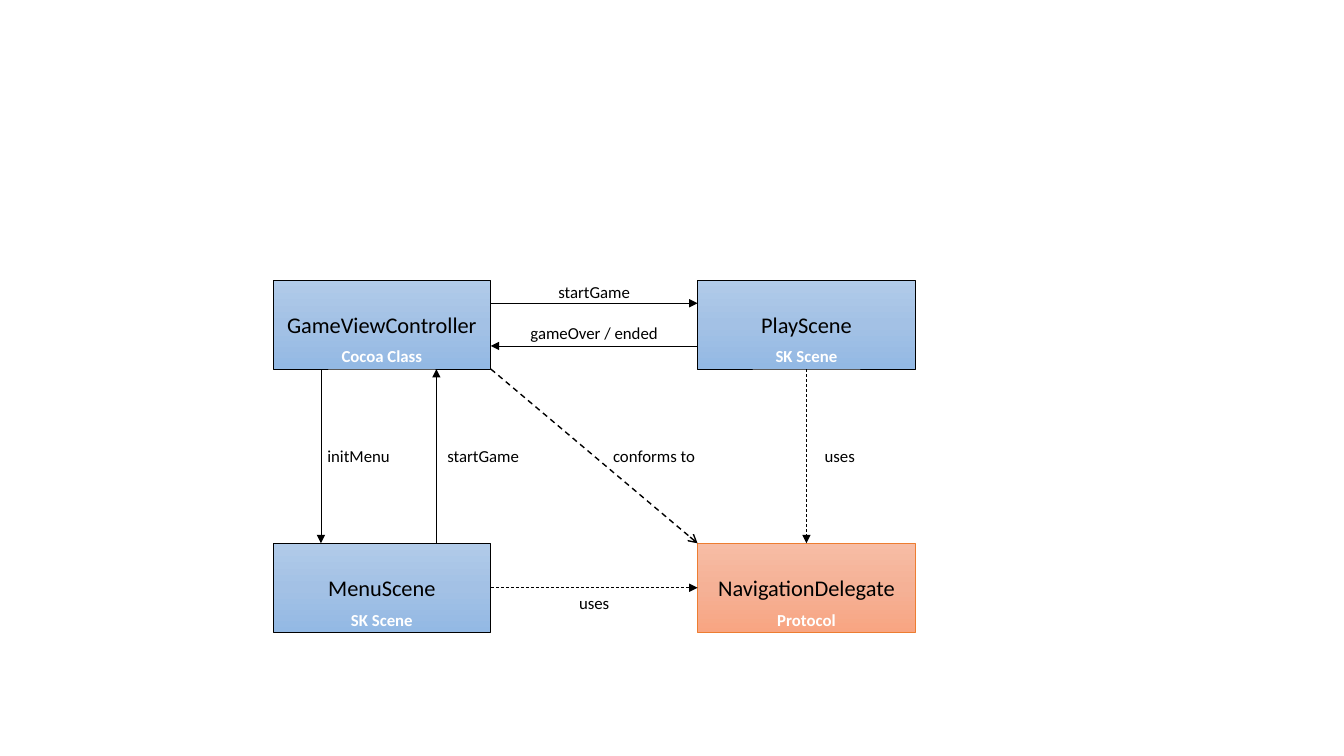
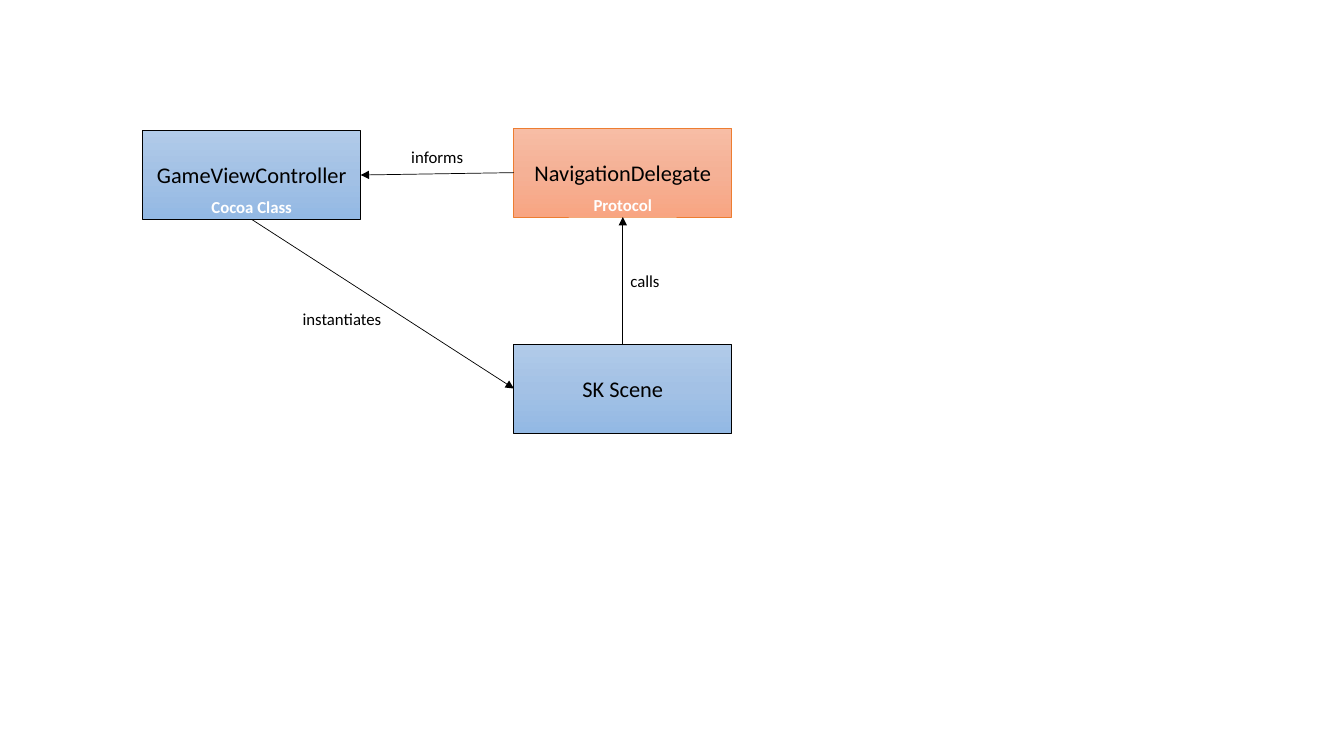
from copy import deepcopy
from dataclasses import dataclass

from lxml import etree
from pptx import Presentation
from pptx.dml.color import RGBColor
from pptx.enum.dml import MSO_LINE
from pptx.enum.shapes import MSO_CONNECTOR, MSO_SHAPE
from pptx.enum.text import MSO_ANCHOR, PP_ALIGN
from pptx.oxml.ns import qn
from pptx.util import Cm, Pt

RECTANGLE, STRAIGHT = MSO_SHAPE.RECTANGLE, MSO_CONNECTOR.STRAIGHT
DASH, MIDDLE, CENTER = MSO_LINE.DASH, MSO_ANCHOR.MIDDLE, PP_ALIGN.CENTER


@dataclass(frozen=True)
class Theme:
    font: str = "Calibri"
    name_size: float = 16
    label_size: float = 12
    ink: str = "000000"
    tag: str = "FFFFFF"
    thin: float = 0.5
    # (gradient from top to bottom, outline)
    blue: tuple = (("B1CBE9", "A3C1E5", "93B9E4"), "000000")
    orange: tuple = (("F7BDA5", "F5B196", "F8A582"), "ED7D31")


THEME = Theme()

# Lengths in cm
SLIDE_W, SLIDE_H = 33.87, 19.05
BOX_W, BOX_H = 5.49, 2.24
LABEL_W, LABEL_H = 3.91, 0.77
TAG_W, TAG_DROP = 3.1, 1.54

# Points on a box, as fractions of its width and height
TOP, LEFT, BOTTOM, RIGHT = (0.5, 0), (0, 0.5), (0.5, 1), (1, 0.5)
SITES = (TOP, LEFT, BOTTOM, RIGHT)

COL_1, COL_2, ROW_1, ROW_2 = 6.88, 17.58, 7.06, 13.69

# boxes: name, tag, left, top, colours
# links: from box, point, to box, point, label, label shift from the middle, format
DIAGRAMS = [
    {
        "boxes": [
            ("GameViewController", "Cocoa Class", COL_1, ROW_1, THEME.blue),
            ("PlayScene", "SK Scene", COL_2, ROW_1, THEME.blue),
            ("MenuScene", "SK Scene", COL_1, ROW_2, THEME.blue),
            ("NavigationDelegate", "Protocol", COL_2, ROW_2, THEME.orange),
        ],
        "links": [
            ("GameViewController", (1, 1), "NavigationDelegate", (0, 0),
             "conforms to", (1.51, 0), {"dash": DASH, "weight": 1, "head": "arrow"}),
            ("GameViewController", (1, 0.26), "PlayScene", (0, 0.26),
             "startGame", (0, -0.28), {}),
            ("PlayScene", (0, 0.74), "GameViewController", (1, 0.74),
             "gameOver / ended", (0, -0.33), {}),
            ("GameViewController", (0.22, 1), "MenuScene", (0.22, 0),
             "initMenu", (0.95, 0), {}),
            ("MenuScene", (0.75, 0), "GameViewController", (0.75, 1),
             "startGame", (1.18, 0), {}),
            ("MenuScene", RIGHT, "NavigationDelegate", LEFT,
             "uses", (0, 0.38), {"dash": DASH}),
            ("PlayScene", BOTTOM, "NavigationDelegate", TOP,
             "uses", (0.84, 0), {"dash": DASH}),
        ],
    },
    {
        "boxes": [
            ("GameViewController", "Cocoa Class", 3.6, 3.29, THEME.blue),
            ("SK Scene", None, 12.95, 8.67, THEME.blue),
            ("NavigationDelegate", "Protocol", 12.95, 3.23, THEME.orange),
        ],
        "links": [
            ("SK Scene", TOP, "NavigationDelegate", BOTTOM,
             "calls", (0.56, 0), {}),
            ("NavigationDelegate", LEFT, "GameViewController", RIGHT,
             "informs", (0, -0.41), {}),
            ("GameViewController", BOTTOM, "SK Scene", LEFT,
             "instantiates", (-1.03, 0.37), {}),
        ],
    },
]


def write(frame, text, size=THEME.label_size, color=THEME.ink, bold=False):
    frame.word_wrap = True
    paragraph = frame.paragraphs[0]
    paragraph.alignment = CENTER
    run = paragraph.add_run()
    run.text = text
    run.font.name, run.font.size, run.font.bold = THEME.font, Pt(size), bold
    run.font.color.rgb = RGBColor.from_string(color)


def add_label(slide, text, center_x, top, width=LABEL_W, **style):
    label = slide.shapes.add_textbox(
        Cm(center_x - width / 2), Cm(top), Cm(width), Cm(LABEL_H))
    write(label.text_frame, text, **style)


def draw_outline(line, color, weight):
    line.color.rgb = RGBColor.from_string(color)
    line.width = Pt(weight)


def add_box(slide, name, left, top, colours):
    gradient, outline = colours
    box = slide.shapes.add_shape(RECTANGLE, Cm(left), Cm(top), Cm(BOX_W), Cm(BOX_H))
    box.shadow.inherit = False
    box.fill.gradient()
    box.fill.gradient_angle = 270
    # The default gradient has two stops; add one between them
    first_stop = next(box.element.spPr.iter(qn("a:gs")))
    first_stop.addnext(deepcopy(first_stop))
    for position, (stop, color) in enumerate(zip(box.fill.gradient_stops, gradient)):
        stop.position = position / 2
        stop.color.rgb = RGBColor.from_string(color)
    draw_outline(box.line, outline, THEME.thin)
    box.text_frame.vertical_anchor = MIDDLE
    write(box.text_frame, name, size=THEME.name_size)
    return box


def add_arrow(slide, start_box, start, end_box, end,
              dash=None, weight=THEME.thin, head="triangle"):
    """Draw an arrow between two boxes and return its middle in cm."""
    (x1, y1), (x2, y2) = [
        (box.left.cm + BOX_W * fx, box.top.cm + BOX_H * fy)
        for box, (fx, fy) in ((start_box, start), (end_box, end))]
    arrow = slide.shapes.add_connector(STRAIGHT, Cm(x1), Cm(y1), Cm(x2), Cm(y2))
    if start in SITES:
        arrow.begin_connect(start_box, SITES.index(start))
    if end in SITES:
        arrow.end_connect(end_box, SITES.index(end))
    draw_outline(arrow.line, THEME.ink, weight)
    if dash:
        arrow.line.dash_style = dash
    properties = arrow.element.spPr
    etree.SubElement(properties.find(qn("a:ln")), qn("a:tailEnd"), type=head)
    etree.SubElement(properties, qn("a:effectLst"))
    return (x1 + x2) / 2, (y1 + y2) / 2


def build_diagram(slide, diagram):
    # Boxes
    boxes = {name: add_box(slide, name, left, top, colours)
             for name, _, left, top, colours in diagram["boxes"]}
    # Arrows with their labels
    for source, start, target, end, label, (dx, dy), style in diagram["links"]:
        x, y = add_arrow(slide, boxes[source], start, boxes[target], end, **style)
        add_label(slide, label, x + dx, y + dy - LABEL_H / 2)
    # Tags at the foot of the boxes
    for _, tag, left, top, _ in diagram["boxes"]:
        if tag:
            add_label(slide, tag, left + BOX_W / 2, top + TAG_DROP,
                      width=TAG_W, color=THEME.tag, bold=True)


deck = Presentation()
deck.slide_width, deck.slide_height = Cm(SLIDE_W), Cm(SLIDE_H)
blank_layout = deck.slide_layouts[6]
for diagram in DIAGRAMS:
    build_diagram(deck.slides.add_slide(blank_layout), diagram)
deck.save("out.pptx")
